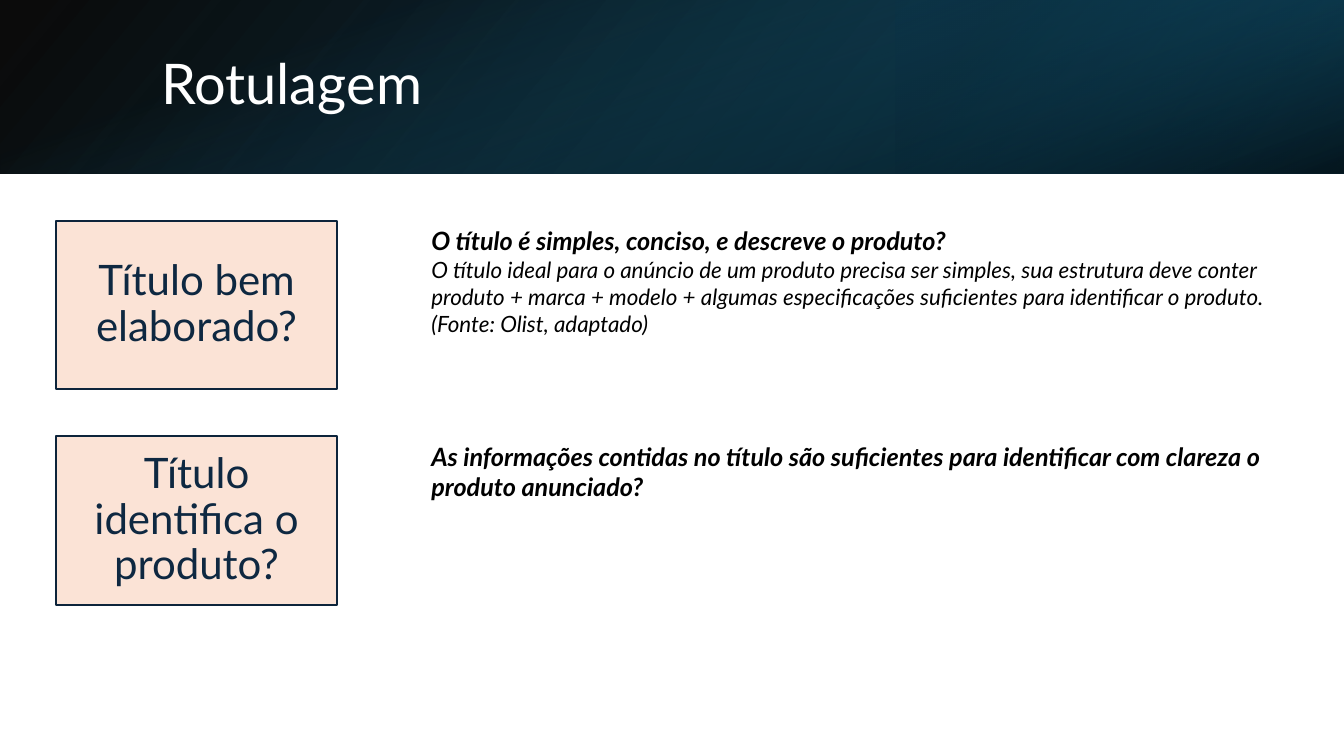
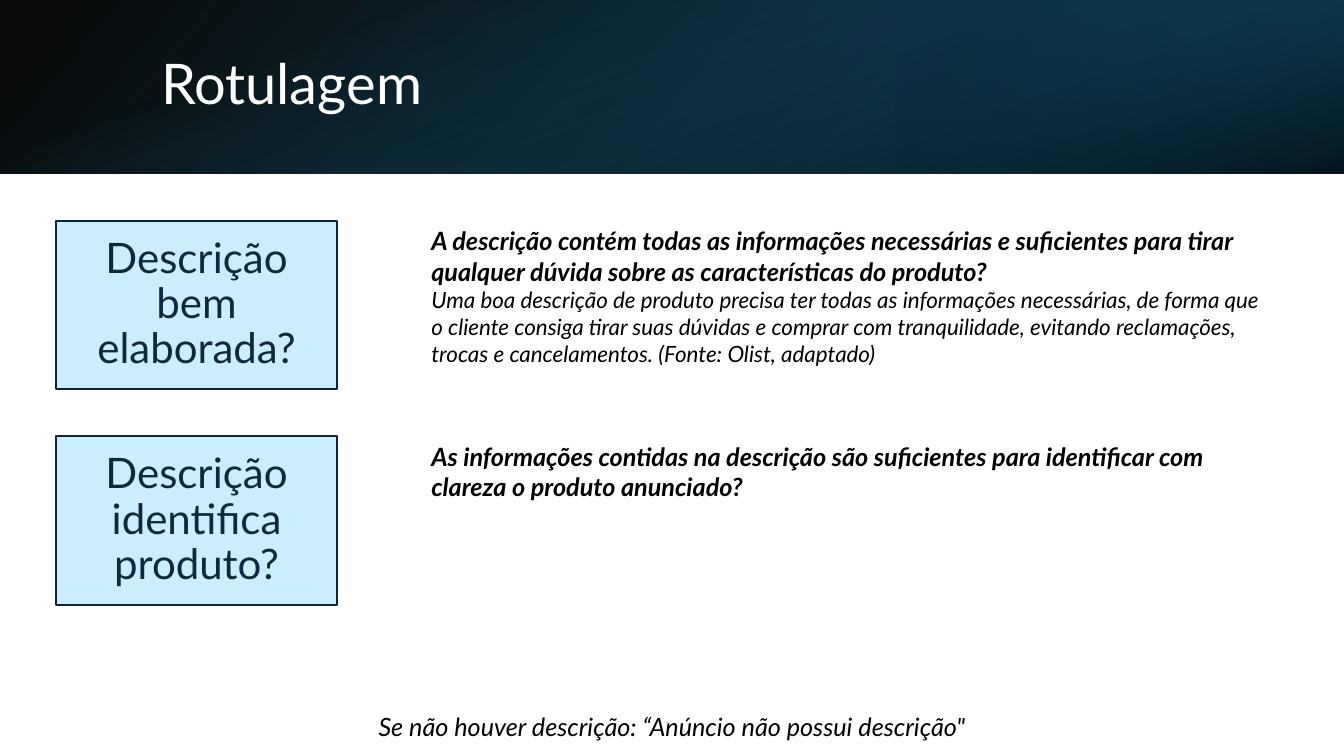
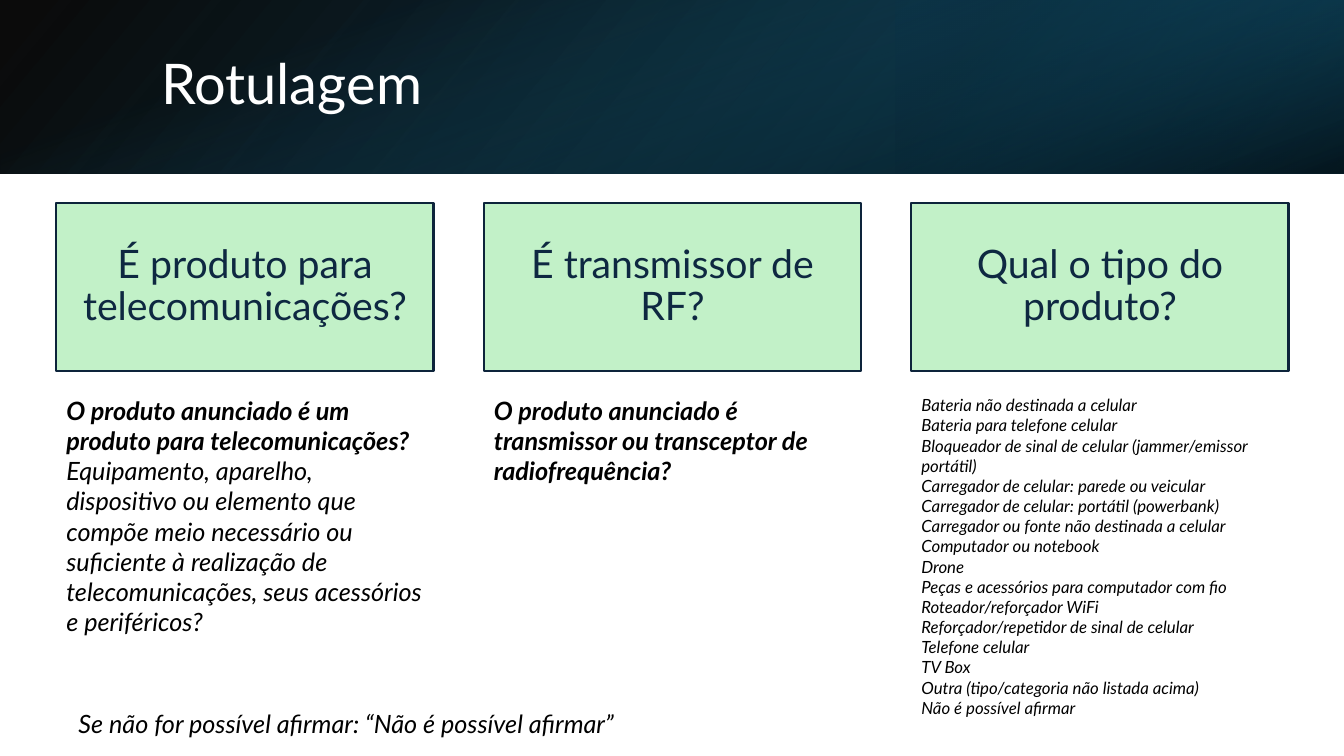
from lxml.etree import SubElement
from pptx import Presentation
from pptx.dml.color import RGBColor
from pptx.enum.shapes import MSO_SHAPE
from pptx.enum.text import MSO_ANCHOR, PP_ALIGN
from pptx.oxml.ns import qn
from pptx.util import Inches, Pt

SLIDE_WIDTH, SLIDE_HEIGHT = 13.33, 7.5
BAND_HEIGHT = 1.72
FONT = "Lato"
WHITE, BLACK = "FFFFFF", "000000"
CARD_LINE, CARD_TEXT = "0D243B", "0E2841"
PEACH, SKY, MINT = "FBE3D6", "CAEEFB", "C2F1C8"
LEFT_MARGIN = 0.56
CARD_HEIGHT = 1.67


def color(hex_value):
    return RGBColor.from_string(hex_value)


def style(paragraph, size, hex_value, bold=False, italic=False):
    font = paragraph.font
    font.name, font.size = FONT, Pt(size)
    font.bold, font.italic = bold, italic
    font.color.rgb = color(hex_value)


def add_rectangle(slide, left, top, width, height):
    shape = slide.shapes.add_shape(
        MSO_SHAPE.RECTANGLE, Inches(left), Inches(top), Inches(width), Inches(height))
    shape.shadow.inherit = False
    return shape


def add_text(slide, left, top, width, height, lines, align=PP_ALIGN.LEFT):
    """Italic black text; each line is (text, size, bold)."""
    box = slide.shapes.add_textbox(
        Inches(left), Inches(top), Inches(width), Inches(height))
    frame = box.text_frame
    frame.word_wrap = True
    for index, (text, size, bold) in enumerate(lines):
        paragraph = frame.add_paragraph() if index else frame.paragraphs[0]
        paragraph.text = text
        paragraph.alignment = align
        style(paragraph, size, BLACK, bold, italic=True)
    return frame


def add_gradient(slide, box, stops, angle, rotation=0, flip=False):
    """Stops are (position %, colour, opacity %); the angle runs clockwise."""
    shape = add_rectangle(slide, *box)
    shape.line.fill.background()
    shape.rotation = rotation
    properties = shape._element.spPr
    if flip:
        properties.find(qn("a:xfrm")).set("flipH", "1")
    shape.fill.gradient()
    gradient = properties.find(qn("a:gradFill"))
    for child in list(gradient):
        gradient.remove(child)
    stop_list = SubElement(gradient, qn("a:gsLst"))
    for position, hex_value, opacity in stops:
        stop = SubElement(stop_list, qn("a:gs"), pos=str(position * 1000))
        rgb = SubElement(stop, qn("a:srgbClr"), val=hex_value)
        SubElement(rgb, qn("a:alpha"), val=str(opacity * 1000))
    SubElement(gradient, qn("a:lin"), ang=str(angle * 60000), scaled="0")


def add_title_band(slide, title):
    # Three layered gradients
    add_gradient(slide, (0, 0, SLIDE_WIDTH, BAND_HEIGHT),
                 [(0, BLACK, 96), (100, "104862", 100)], 140, flip=True)
    glow_width = SLIDE_WIDTH / 3
    add_gradient(slide, (SLIDE_WIDTH - glow_width, 0, glow_width, BAND_HEIGHT),
                 [(19, "0B3041", 68), (100, "156082", 79)], 320, rotation=180, flip=True)
    offset = (SLIDE_WIDTH - BAND_HEIGHT) / 2
    add_gradient(slide, (offset, -offset, BAND_HEIGHT, SLIDE_WIDTH),
                 [(23, "156082", 0), (99, BLACK, 74)], 340, rotation=90)
    # Title
    frame = add_text(slide, 1.5, 0.38, 10.98, 0.96, [(title, 40, False)])
    frame.vertical_anchor = MSO_ANCHOR.MIDDLE
    frame.paragraphs[0].line_spacing = 0.9
    style(frame.paragraphs[0], 40, WHITE)


def add_card(slide, left, top, width, text, size, fill):
    card = add_rectangle(slide, left, top, width, CARD_HEIGHT)
    card.fill.solid()
    card.fill.fore_color.rgb = color(fill)
    card.line.color.rgb = color(CARD_LINE)
    card.line.width = Pt(1.5)
    frame = card.text_frame
    frame.word_wrap = True
    frame.vertical_anchor = MSO_ANCHOR.MIDDLE
    frame.margin_left = frame.margin_right = Inches(0.12)
    frame.margin_top = frame.margin_bottom = Inches(0.12)
    paragraph = frame.paragraphs[0]
    paragraph.text = text
    paragraph.alignment = PP_ALIGN.CENTER
    paragraph.line_spacing = 0.9
    style(paragraph, size, CARD_TEXT)


def add_slide(presentation):
    slide = presentation.slides.add_slide(presentation.slide_layouts[6])
    add_title_band(slide, "Rotulagem")
    return slide


def add_rows_slide(presentation, fill, rows):
    """Cards down the left side, each with its question at the right."""
    slide = add_slide(presentation)
    for index, (label, lines) in enumerate(rows):
        top = 2.19 + index * 2.14
        add_card(slide, LEFT_MARGIN, top, 2.78, label, 30, fill)
        add_text(slide, 4.18, top, 8.54, 1.5, lines)
    return slide


def add_columns_slide(presentation, fill, columns):
    """Cards across the top, each with its text below."""
    slide = add_slide(presentation)
    width, gap, top = 3.74, 0.5, 2.01
    for index, (label, lines) in enumerate(columns):
        left = LEFT_MARGIN + index * (width + gap)
        add_card(slide, left, top, width, label, 28, fill)
        add_text(slide, left, top + CARD_HEIGHT + 0.19, width, 3.3, lines)
    return slide


TITLE_ROWS = [
    ("Título bem elaborado?", [
        ("O título é simples, conciso, e descreve o produto?", 18, True),
        ("O título ideal para o anúncio de um produto precisa ser simples, sua estrutura "
         "deve conter produto + marca + modelo + algumas especificações suficientes para "
         "identificar o produto. (Fonte: Olist, adaptado)", 16, False)]),
    ("Título identifica o produto?", [
        ("As informações contidas no título são suficientes para identificar com clareza "
         "o produto anunciado?", 18, True)]),
]

DESCRIPTION_ROWS = [
    ("Descrição bem elaborada?", [
        ("A descrição contém todas as informações necessárias e suficientes para tirar "
         "qualquer dúvida sobre as características do produto?", 18, True),
        ("Uma boa descrição de produto precisa ter todas as informações necessárias, de "
         "forma que o cliente consiga tirar suas dúvidas e comprar com tranquilidade, "
         "evitando reclamações, trocas e cancelamentos. (Fonte: Olist, adaptado)", 16, False)]),
    ("Descrição identifica produto?", [
        ("As informações contidas na descrição são suficientes para identificar com "
         "clareza o produto anunciado?", 18, True)]),
]

PRODUCT_TYPES = [
    "Bateria não destinada a celular",
    "Bateria para telefone celular",
    "Bloqueador de sinal de celular (jammer/emissor portátil)",
    "Carregador de celular: parede ou veicular",
    "Carregador de celular: portátil (powerbank)",
    "Carregador ou fonte não destinada a celular",
    "Computador ou notebook",
    "Drone",
    "Peças e acessórios para computador com fio",
    "Roteador/reforçador WiFi",
    "Reforçador/repetidor de sinal de celular",
    "Telefone celular",
    "TV Box",
    "Outra (tipo/categoria não listada acima)",
    "Não é possível afirmar",
]

PRODUCT_COLUMNS = [
    ("É produto para telecomunicações?", [
        ("O produto anunciado é um produto para telecomunicações?", 18, True),
        ("Equipamento, aparelho, dispositivo ou elemento que compõe meio necessário ou "
         "suficiente à realização de telecomunicações, seus acessórios e periféricos?",
         18, False)]),
    ("É transmissor de RF?", [
        ("O produto anunciado é transmissor ou transceptor de radiofrequência?", 18, True)]),
    ("Qual o tipo do produto?", [(name, 12, False) for name in PRODUCT_TYPES]),
]


def main():
    presentation = Presentation()
    presentation.slide_width = Inches(SLIDE_WIDTH)
    presentation.slide_height = Inches(SLIDE_HEIGHT)

    # Product title
    add_rows_slide(presentation, PEACH, TITLE_ROWS)

    # Product description
    slide = add_rows_slide(presentation, SKY, DESCRIPTION_ROWS)
    add_text(slide, 2.93, 7.01, 7.47, 0.4,
             [("Se não houver descrição: “Anúncio não possui descrição\"", 18, False)],
             PP_ALIGN.CENTER)

    # Product type
    slide = add_columns_slide(presentation, MINT, PRODUCT_COLUMNS)
    add_text(slide, 0.68, 6.98, 6.79, 0.4,
             [("Se não for possível afirmar: “Não é possível afirmar”", 18, False)])

    presentation.save("out.pptx")


if __name__ == "__main__":
    main()
